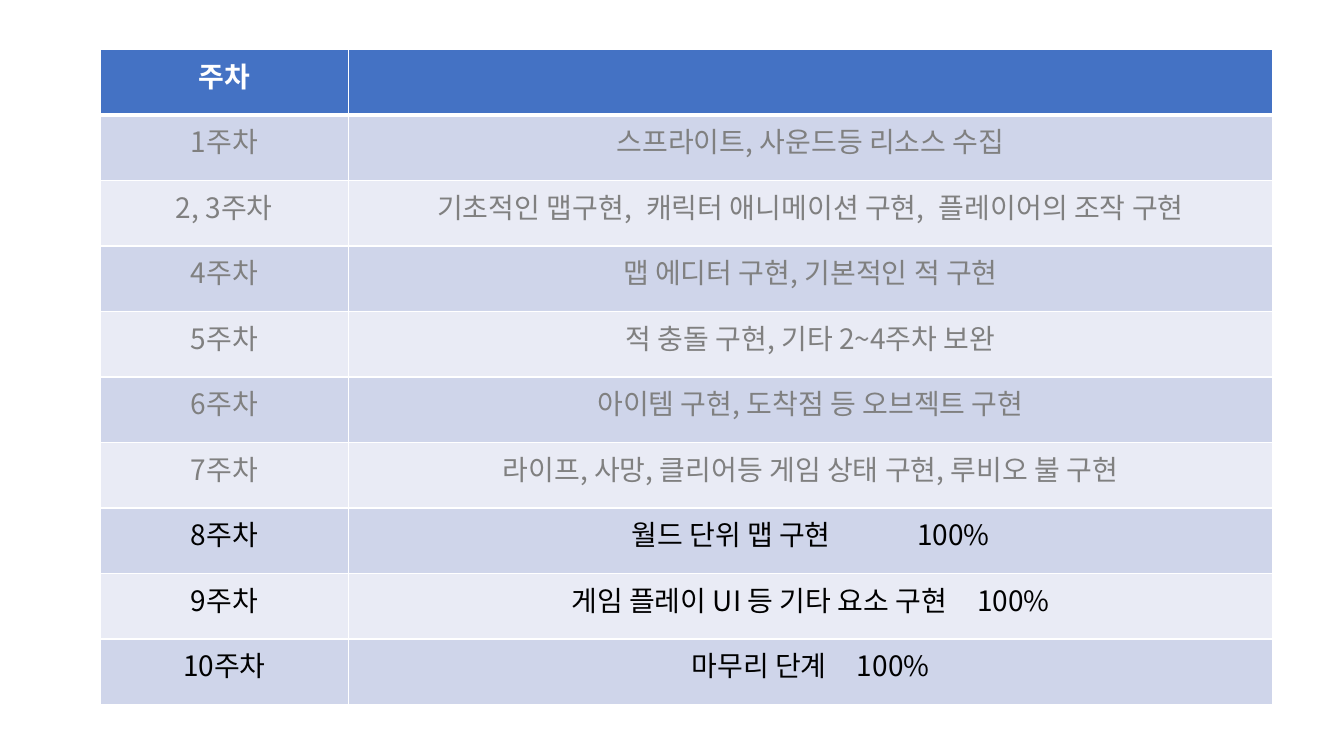
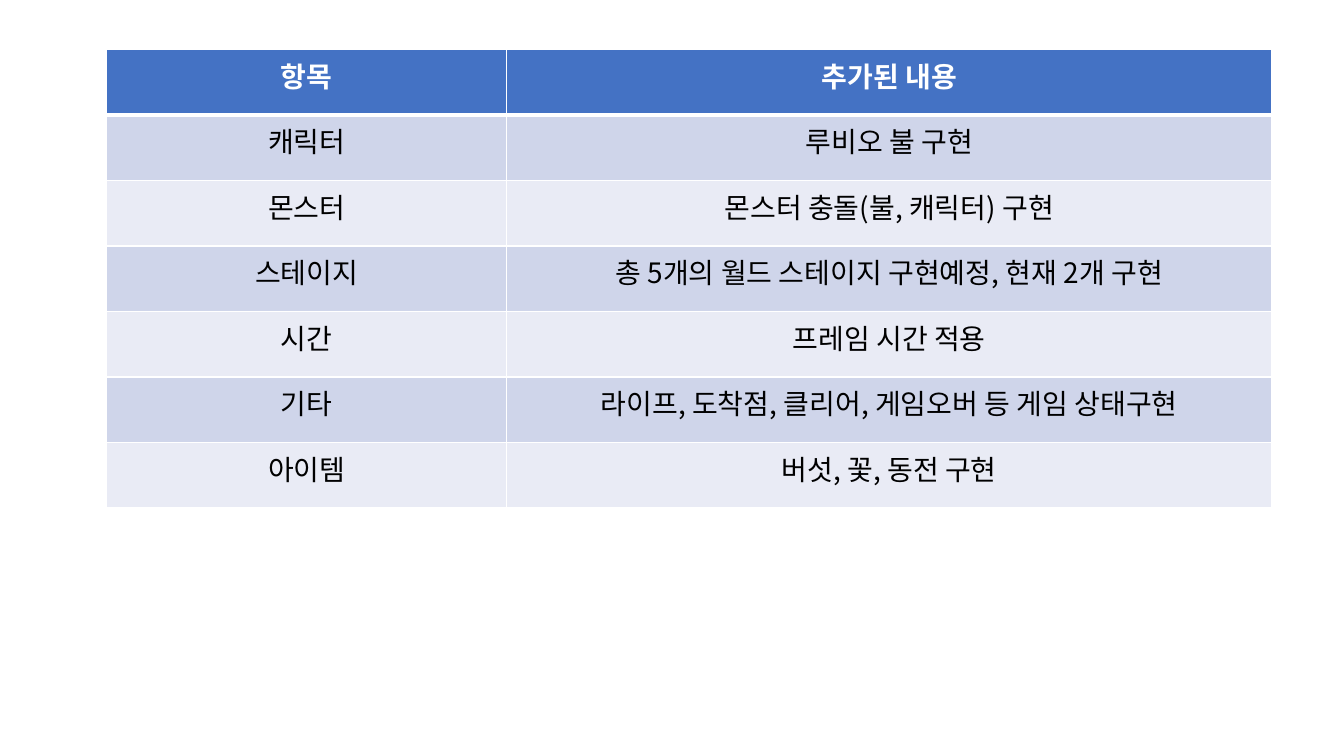
import pptx
import pptx.util
import pptx.dml.color
import pptx.enum.text
import pptx.oxml.ns
import lxml.etree

Cm, Pt = pptx.util.Cm, pptx.util.Pt
RGBColor = pptx.dml.color.RGBColor
qn = pptx.oxml.ns.qn

WHITE = RGBColor(0xFF, 0xFF, 0xFF)
BLACK = RGBColor(0x00, 0x00, 0x00)
GRAY = RGBColor(0x80, 0x80, 0x80)
HEADER = RGBColor(0x44, 0x72, 0xC4)
BANDS = (RGBColor(0xCF, 0xD5, 0xEA), RGBColor(0xE9, 0xEB, 0xF5))

FONT = "Noto Sans CJK KR"
TABLE_TOP = Cm(1.25)
ROW_HEIGHT = Cm(1.65)

# Widths in points added to one space between two texts
SMALL_GAP, SCORE_GAP, WIDE_GAP = 5.7, 17, 57

# A cell is a text, or a tuple of texts separated by gap widths
SCHEDULE = [
    ("주차", ""),
    ("1주차", "스프라이트, 사운드등 리소스 수집"),
    ("2, 3주차", ("기초적인 맵구현,", SMALL_GAP, "캐릭터 애니메이션 구현,",
               SMALL_GAP, "플레이어의 조작 구현")),
    ("4주차", "맵 에디터 구현, 기본적인 적 구현"),
    ("5주차", "적 충돌 구현, 기타 2~4주차 보완"),
    ("6주차", "아이템 구현, 도착점 등 오브젝트 구현"),
    ("7주차", "라이프, 사망, 클리어등 게임 상태 구현, 루비오 불 구현"),
    ("8주차", ("월드 단위 맵 구현", WIDE_GAP, "100%")),
    ("9주차", ("게임 플레이 UI 등 기타 요소 구현", SCORE_GAP, "100%")),
    ("10주차", ("마무리 단계", SCORE_GAP, "100%")),
]
PAST_WEEKS = 6

ADDITIONS = [
    ("항목", "추가된 내용"),
    ("캐릭터", "루비오 불 구현"),
    ("몬스터", "몬스터 충돌(불, 캐릭터) 구현"),
    ("스테이지", "총 5개의 월드 스테이지 구현예정, 현재 2개 구현"),
    ("시간", "프레임 시간 적용"),
    ("기타", "라이프, 도착점, 클리어, 게임오버 등 게임 상태구현"),
    ("아이템", "버섯, 꽃, 동전 구현"),
]


def set_borders(cell, top, bottom):
    """Draw white borders; top and bottom are widths in points."""
    tc_pr = cell._tc.get_or_add_tcPr()
    for side, width in (("L", 1), ("R", 1), ("T", top), ("B", bottom)):
        ln = lxml.etree.SubElement(tc_pr, qn("a:ln" + side), w=str(Pt(width)))
        fill = lxml.etree.SubElement(ln, qn("a:solidFill"))
        lxml.etree.SubElement(fill, qn("a:srgbClr"), val=str(WHITE))


def write_cell(cell, content, color, bold):
    p = cell.text_frame.paragraphs[0]
    p.alignment = pptx.enum.text.PP_ALIGN.CENTER
    p.font.size = Pt(20)
    for piece in content if isinstance(content, tuple) else (content,):
        if piece == "":
            continue
        r = p.add_run()
        r.text = piece if isinstance(piece, str) else " "
        r.font.name = FONT
        r.font.size = Pt(20)
        r.font.bold = bold
        r.font.color.rgb = color
        r_pr = r.font._element
        r_pr.find(qn("a:latin")).addnext(
            r_pr.makeelement(qn("a:ea"), {"typeface": FONT}))
        # A gap is one space with wide character spacing
        if not isinstance(piece, str):
            r_pr.set("spc", str(round(piece * 100)))


def add_banded_table(prs, rows, left, widths, gray_rows=0):
    s = prs.slides.add_slide(prs.slide_layouts[6])
    table = s.shapes.add_table(len(rows), len(widths), left, TABLE_TOP,
                               sum(widths), ROW_HEIGHT * len(rows)).table
    for column, width in zip(table.columns, widths):
        column.width = width
    for i, contents in enumerate(rows):
        table.rows[i].height = ROW_HEIGHT
        if i == 0:
            fill, color = HEADER, WHITE
        else:
            fill = BANDS[(i - 1) % 2]
            color = GRAY if i <= gray_rows else BLACK
        for j, content in enumerate(contents):
            cell = table.cell(i, j)
            set_borders(cell, 3 if i == 1 else 1, 3 if i == 0 else 1)
            cell.fill.solid()
            cell.fill.fore_color.rgb = fill
            write_cell(cell, content, color, i == 0)


def main():
    prs = pptx.Presentation()
    prs.slide_width, prs.slide_height = Cm(33.87), Cm(19.05)
    # Weekly schedule
    add_banded_table(prs, SCHEDULE, Cm(2.52), (Cm(6.27), Cm(23.27)), PAST_WEEKS)
    # Added content
    add_banded_table(prs, ADDITIONS, Cm(2.69), (Cm(10.08), Cm(19.28)))
    prs.save("out.pptx")


main()
